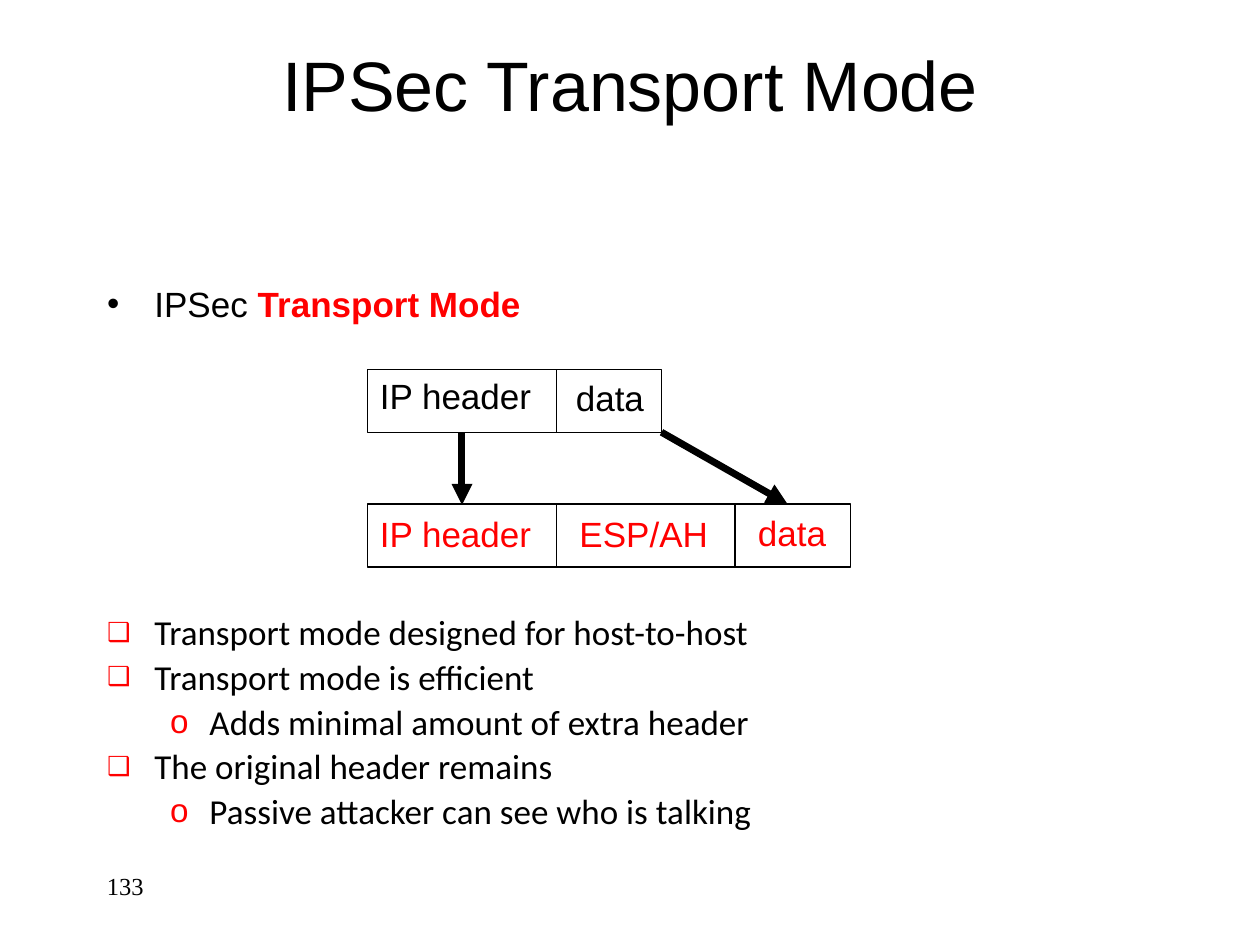
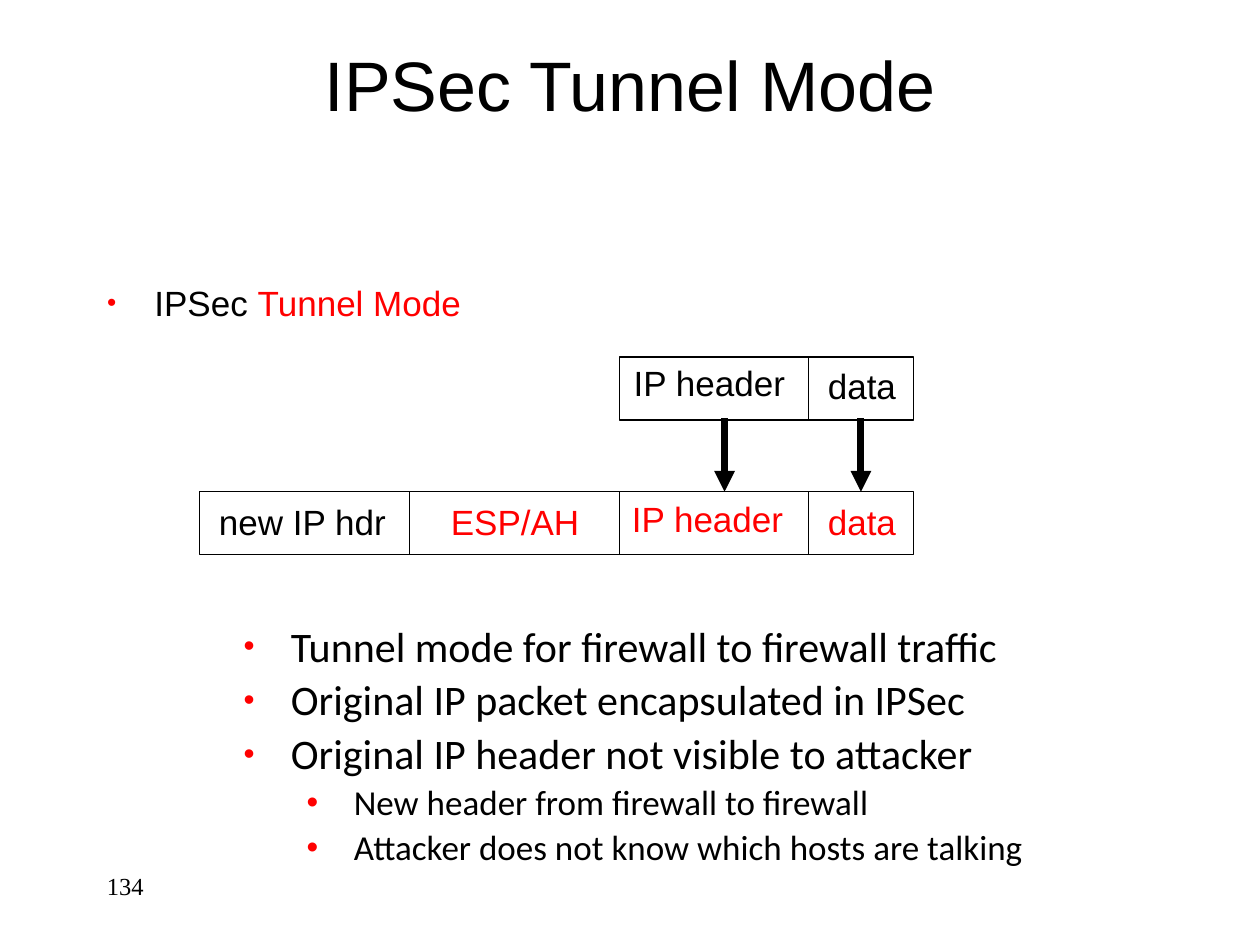
from lxml import etree
from pptx import Presentation
from pptx.dml.color import RGBColor
from pptx.enum import shapes, text
from pptx.oxml.ns import qn
from pptx.util import Pt

BLACK, RED = "000000", "FF0000"
HEADING_FONT, LIST_FONT, NUMBER_FONT = "Arial", "Calibri", "Times New Roman"
ROW_HEIGHT = 36


def color(value):
    return RGBColor.from_string(value)


def style(r, size, font=HEADING_FONT, fill=BLACK, bold=False):
    r.font.size, r.font.name, r.font.bold = Pt(size), font, bold
    r.font.color.rgb = color(fill)


def place(sp, left, top, width, height):
    sp.left, sp.top, sp.width, sp.height = map(Pt, (left, top, width, height))
    tf = sp.text_frame
    tf.word_wrap = True
    tf.auto_size = text.MSO_AUTO_SIZE.NONE
    return tf


def bullet(p, char, fill, percent, left, hanging):
    pPr = p._p.get_or_add_pPr()
    pPr.set("marL", str(Pt(left)))
    pPr.set("indent", str(-Pt(hanging)))
    clr = etree.SubElement(pPr, qn("a:buClr"))
    etree.SubElement(clr, qn("a:srgbClr"), val=fill)
    etree.SubElement(pPr, qn("a:buSzPct"), val=str(percent * 1000))
    etree.SubElement(pPr, qn("a:buFont"), typeface=HEADING_FONT)
    etree.SubElement(pPr, qn("a:buChar"), char=char)


def add_text(s, words, left, top, width, height, size, font, fill=BLACK):
    tf = place(s.shapes.add_textbox(0, 0, 0, 0), left, top, width, height)
    tf.text = words
    style(tf.paragraphs[0].runs[0], size, font, fill)


def add_base(prs, title, number):
    """Slide with two body placeholders, a title and a page number."""
    s = prs.slides.add_slide(prs.slide_layouts[3])
    tf = place(s.shapes.title, 54, 12, 612, 72)
    tf.text = title
    tf.vertical_anchor = text.MSO_ANCHOR.MIDDLE
    p = tf.paragraphs[0]
    p.alignment = text.PP_ALIGN.CENTER
    style(p.runs[0], 40)
    add_text(s, number, 54, 494, 150, 36, 14, NUMBER_FONT)
    return s


def add_intro(s, mode, top, bold, bullet_fill, percent):
    tf = place(s.placeholders[1], 54, top, 588, 46)
    p = tf.paragraphs[0]
    p.space_before = Pt(0)
    for words, fill, heavy in (("IPSec ", BLACK, False), (mode, RED, bold)):
        r = p.add_run()
        r.text = words
        style(r, 20, fill=fill, bold=heavy)
    bullet(p, "•", bullet_fill, percent, 27, 27)


def add_points(s, box, points, levels):
    """points: (level, words); levels: (char, percent, left, hanging, size)."""
    tf = place(s.placeholders[2], *box)
    for i, (level, words) in enumerate(points):
        char, percent, left, hanging, size = levels[level]
        p = tf.add_paragraph() if i else tf.paragraphs[0]
        p.text = words
        p.level = level
        p.line_spacing = 0.9
        p.space_before = Pt(0.2 * size if i else 0)
        style(p.runs[0], size, LIST_FONT)
        bullet(p, char, RED, percent, left, hanging)


def add_line(s, x1, y1, x2, y2, width=0.75, arrow=False):
    c = s.shapes.add_connector(shapes.MSO_CONNECTOR.STRAIGHT,
                               Pt(x1), Pt(y1), Pt(x2), Pt(y2))
    c.line.width = Pt(width)
    c.line.color.rgb = color(BLACK)
    if arrow:
        etree.SubElement(c.line._get_or_add_ln(), qn("a:tailEnd"), type="triangle")
    etree.SubElement(c._element.spPr, qn("a:effectLst"))


def add_packet(s, left, top, fields):
    """Outlined row of fields: (label, width, colour, label dx, label dy)."""
    total = sum(field[1] for field in fields)
    sp = s.shapes.add_shape(shapes.MSO_SHAPE.RECTANGLE, Pt(left), Pt(top),
                            Pt(total), Pt(ROW_HEIGHT))
    sp.shadow.inherit = False
    sp.fill.background()
    sp.line.color.rgb = color(BLACK)
    sp.line.width = Pt(0.75)
    x = left
    for label, width, fill, dx, dy in fields:
        if x > left:
            add_line(s, x, top, x, top + ROW_HEIGHT)
        add_text(s, label, x + dx, top + dy, width - dx, 31.5, 20, HEADING_FONT, fill)
        x += width


def add_transport_mode(prs):
    s = add_base(prs, "IPSec Transport Mode", "133")
    add_intro(s, "Transport Mode", 158, True, BLACK, 100)

    # Packet before and after
    add_packet(s, 210, 211, [("IP header", 108, BLACK, 0, -0.7),
                             ("data", 60, BLACK, 4, 0.7)])
    add_packet(s, 210, 288, [("IP header", 108, RED, 0, 1.4),
                             ("ESP/AH", 102, RED, 6, 1.4),
                             ("data", 66, RED, 6, 0.7)])
    add_line(s, 264, 247, 264, 288.5, 4, True)
    add_line(s, 378, 247, 450, 288, 4, True)

    add_points(s, (54, 348, 630, 156), [
        (0, "Transport mode designed for host-to-host"),
        (0, "Transport mode is efficient"),
        (1, "Adds minimal amount of extra header"),
        (0, "The original header remains"),
        (1, "Passive attacker can see who is talking"),
    ], [("❑", 75, 27, 27, 20), ("o", 95, 58.5, 22.5, 20)])


def add_tunnel_mode(prs):
    s = add_base(prs, "IPSec Tunnel Mode", "134")
    add_intro(s, "Tunnel Mode", 157, False, RED, 75)

    # Packet before and after
    add_packet(s, 354, 204, [("IP header", 108, BLACK, 1, -0.7),
                             ("data", 60, BLACK, 4, 0.7)])
    add_packet(s, 114, 281, [("new IP hdr", 120, BLACK, 4, 1.4),
                             ("ESP/AH", 120, RED, 16.5, 1.4),
                             ("IP header", 108, RED, 0, 0),
                             ("data", 60, RED, 4, 1.4)])
    for x in (414, 492):
        add_line(s, x, 239, x, 281, 4, True)

    add_points(s, (132, 354, 516, 180), [
        (0, "Tunnel mode for firewall to firewall traffic"),
        (0, "Original IP packet encapsulated in IPSec"),
        (0, "Original IP header not visible to attacker"),
        (1, "New header from firewall to firewall"),
        (1, "Attacker does not know which hosts are talking"),
    ], [("•", 75, 27, 27, 24), ("•", 95, 63, 27, 20)])


def main():
    prs = Presentation()
    prs.slide_width, prs.slide_height = Pt(720), Pt(540)
    add_transport_mode(prs)
    add_tunnel_mode(prs)
    prs.save("out.pptx")


if __name__ == "__main__":
    main()
